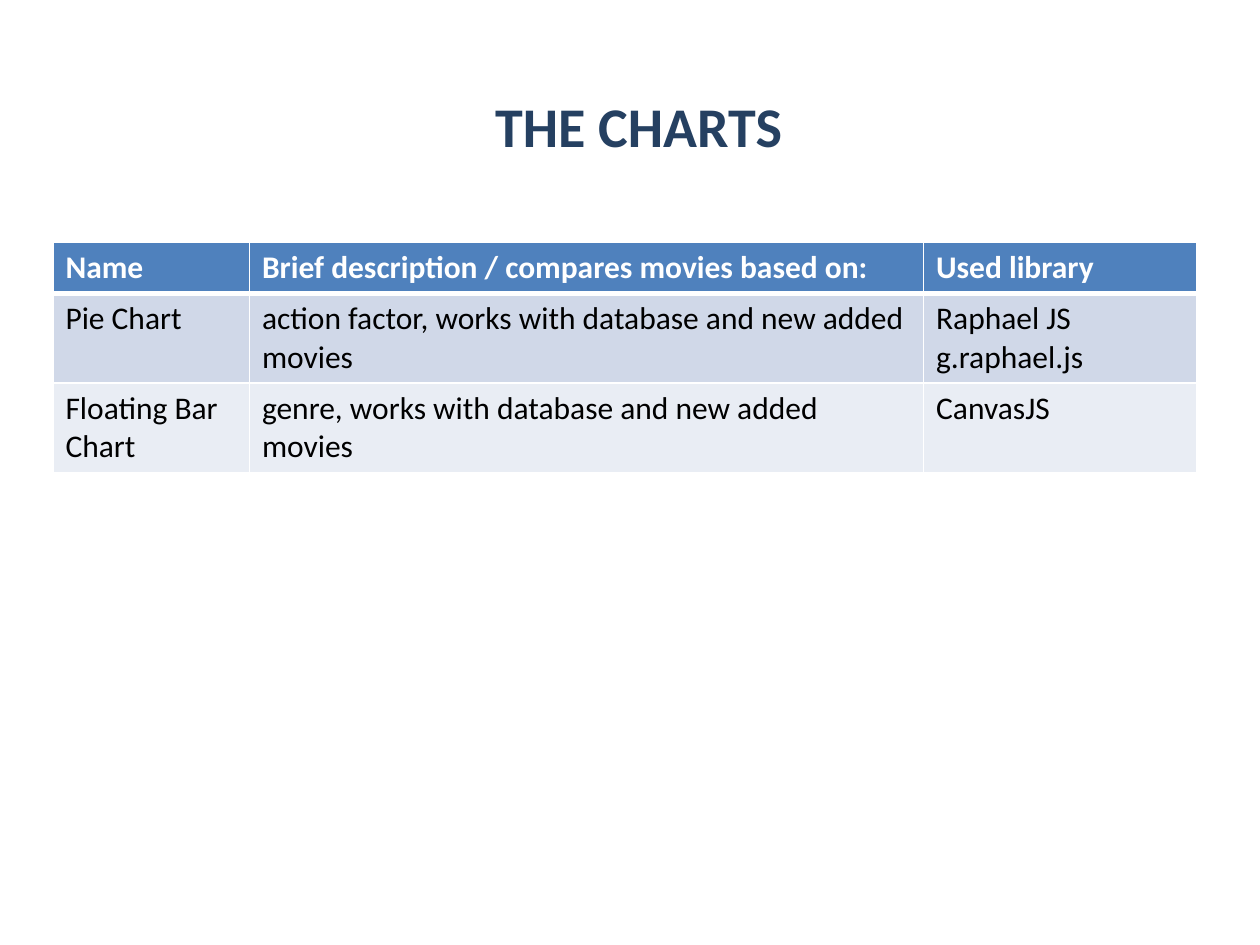
from pptx import Presentation
from pptx.dml.color import RGBColor as Color
from pptx.enum.text import MSO_ANCHOR as Anchor, PP_ALIGN as Align
from pptx.oxml import parse_xml
from pptx.oxml.ns import nsdecls
from pptx.util import Inches, Pt

COLORS = {
    "title": "254061",
    "header": "4F81BD",
    "odd_row": "D0D8E8",
    "even_row": "E9EDF4",
    "white": "FFFFFF",
    "black": "000000",
}
FONT = "Calibri"
COLUMN_WIDTHS = [1.56, 5.35, 2.17]
ROW_HEIGHTS = [0.41, 0.7, 0.7]
CHARTS = [
    ["Name", "Brief description / compares movies based on:", "Used library"],
    ["Pie Chart", "action factor, works with database and new added movies",
     "Raphael JS\ng.raphael.js"],
    ["Floating Bar Chart", "genre, works with database and new added movies",
     "CanvasJS"],
]


def write_text(frame, text, size=18, color="black", bold=False):
    frame.text = text
    frame.word_wrap = True
    for paragraph in frame.paragraphs:
        paragraph.alignment = Align.LEFT
        font = paragraph.runs[0].font
        font.name, font.size, font.bold = FONT, Pt(size), bold
        font.color.rgb = Color.from_string(COLORS[color])


def add_title(slide, text):
    title = slide.shapes.title
    title.left, title.top = Inches(3.83), Inches(0.67)
    title.width, title.height = Inches(2.58), Inches(0.64)
    write_text(title.text_frame, text, size=32, color="title", bold=True)
    title.text_frame.vertical_anchor = Anchor.MIDDLE


def set_borders(cell, top=1, bottom=1):
    properties = cell._tc.get_or_add_tcPr()
    for side, width in {"L": 1, "R": 1, "T": top, "B": bottom}.items():
        properties.append(parse_xml(
            f'<a:ln{side} {nsdecls("a")} w="{Pt(width)}"><a:solidFill>'
            f'<a:srgbClr val="{COLORS["white"]}"/></a:solidFill></a:ln{side}>'))


def fill_cell(cell, text, row):
    header = row == 0
    write_text(cell.text_frame, text, bold=header,
               color="white" if header else "black")
    # A thick line parts the header from the body
    set_borders(cell, top=3 if row == 1 else 1, bottom=3 if header else 1)
    fill = "header" if header else "odd_row" if row % 2 else "even_row"
    cell.fill.solid()
    cell.fill.fore_color.rgb = Color.from_string(COLORS[fill])


def add_chart_table(slide, rows):
    table = slide.shapes.add_table(
        len(rows), len(COLUMN_WIDTHS), Inches(0.42), Inches(1.92),
        Inches(sum(COLUMN_WIDTHS)), Inches(sum(ROW_HEIGHTS))).table
    for column, width in zip(table.columns, COLUMN_WIDTHS):
        column.width = Inches(width)
    for row, height in zip(table.rows, ROW_HEIGHTS):
        row.height = Inches(height)
    for row_index, texts in enumerate(rows):
        for column_index, text in enumerate(texts):
            fill_cell(table.cell(row_index, column_index), text, row_index)


def main():
    presentation = Presentation()
    presentation.slide_width = Inches(10)
    presentation.slide_height = Inches(7.5)
    # "Title Only" layout
    slide = presentation.slides.add_slide(presentation.slide_layouts[5])
    add_title(slide, "THE CHARTS")
    add_chart_table(slide, CHARTS)
    presentation.save("out.pptx")


if __name__ == "__main__":
    main()
